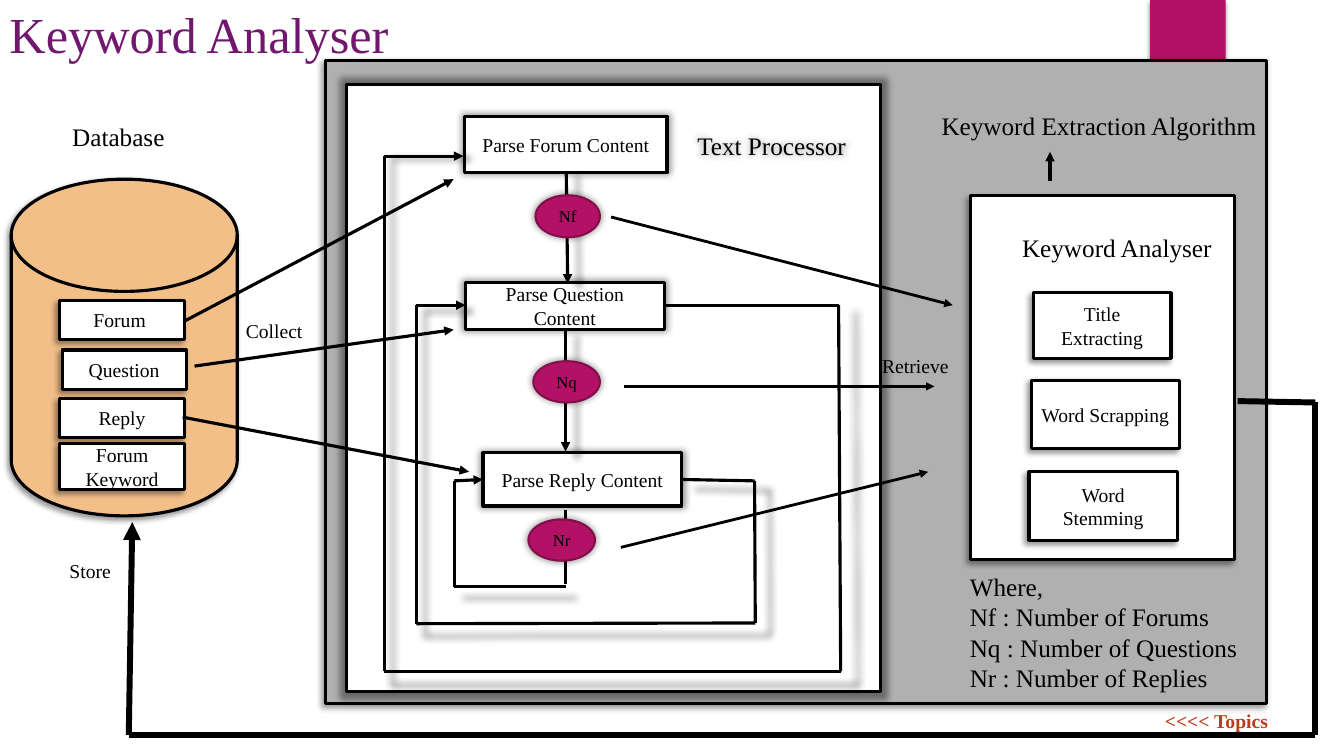
from itertools import pairwise

from lxml.etree import SubElement
from pptx import Presentation
from pptx.dml.color import RGBColor
from pptx.enum.shapes import MSO_CONNECTOR as Connector, MSO_SHAPE as Shape
from pptx.enum.text import MSO_ANCHOR as Anchor, MSO_AUTO_SIZE as AutoSize, PP_ALIGN as Align
from pptx.oxml.ns import qn
from pptx.util import Pt

COLORS = {
    "black": "000000",
    "white": "FFFFFF",
    "gray": "B0B0B0",
    "magenta": "B31166",
    "plum": "840D4B",
    "purple": "71186E",
    "sand": "F2BF89",
    "rust": "BE3C1A",
}
# Opacity in percent, blur and distance in points, direction in degrees, scale in percent
SHADOWS = {
    "glow": (40, 5, 0, 0, 102),
    "drop": (40, 4, 3, 135, 100),
    "under": (45, 3, 2, 90, 100),
}


def color(name):
    return RGBColor.from_string(COLORS[name])


class Diagram:
    """Holds the text style and the slide that is being drawn."""

    font_name = "Times New Roman"

    def __init__(self, slide):
        self.slide = slide
        self.shapes = slide.shapes

    def format_text(self, frame, text, size, ink="black", bold=False, align=Align.LEFT,
                    anchor=Anchor.TOP):
        frame.text = text
        for name, value in {"word_wrap": True, "auto_size": AutoSize.NONE,
                            "vertical_anchor": anchor}.items():
            setattr(frame, name, value)
        font_values = {"name": self.font_name, "size": Pt(size), "bold": bold}
        for paragraph in frame.paragraphs:
            paragraph.alignment = align
            paragraph.space_before = Pt(0)
            for name, value in font_values.items():
                setattr(paragraph.font, name, value)
            paragraph.font.color.rgb = color(ink)

    def cast_shadow(self, shape, kind):
        """Replace the theme shadow by a named one, or by none."""
        properties = shape._element.spPr
        for old in properties.findall(qn("a:effectLst")):
            properties.remove(old)
        effects = SubElement(properties, qn("a:effectLst"))
        if kind:
            opacity, blur, distance, angle, scale = SHADOWS[kind]
            shadow = SubElement(effects, qn("a:outerShdw"), {
                "blurRad": str(Pt(blur)), "dist": str(Pt(distance)),
                "dir": str(angle * 60000), "sx": str(scale * 1000),
                "sy": str(scale * 1000), "algn": "ctr", "rotWithShape": "0"})
            ink = SubElement(shadow, qn("a:srgbClr"), val=COLORS["black"])
            SubElement(ink, qn("a:alpha"), val=str(opacity * 1000))

    def block(self, box, text="", fill="white", line="black", width=2.25, size=14,
              kind=Shape.RECTANGLE, shadow="drop"):
        shape = self.shapes.add_shape(kind, *map(Pt, box))
        shape.fill.solid()
        shape.fill.fore_color.rgb = color(fill)
        if line:
            shape.line.color.rgb = color(line)
            shape.line.width = Pt(width)
        else:
            shape.line.fill.background()
        self.cast_shadow(shape, shadow)
        if text:
            self.format_text(shape.text_frame, text, size, align=Align.CENTER,
                             anchor=Anchor.MIDDLE)

    def counter(self, box, text):
        self.block(box, text, "magenta", "plum", 1.5, 12, Shape.OVAL, "glow")

    def label(self, box, text, size=14, shadow=None, **style):
        text_box = self.shapes.add_textbox(*map(Pt, box))
        self.format_text(text_box.text_frame, text, size, **style)
        if shadow:
            self.cast_shadow(text_box, shadow)

    def route(self, *points, width=2.25, arrow=True, shadow=None):
        """Join the points by straight lines; an arrowhead ends the last one."""
        for start, end in pairwise(points):
            line = self.shapes.add_connector(Connector.STRAIGHT, *map(Pt, start + end))
            line.line.color.rgb = color("black")
            line.line.width = Pt(width)
            if arrow and end == points[-1]:
                SubElement(line.line._get_or_add_ln(), qn("a:tailEnd"), type="triangle")
            self.cast_shadow(line, shadow)

    def place(self, placeholder, box, text, size, ink="black"):
        """Move a placeholder to the front and format it without bullets."""
        for name, value in zip(("left", "top", "width", "height"), box):
            setattr(placeholder, name, Pt(value))
        self.format_text(placeholder.text_frame, text, size, ink)
        for paragraph in placeholder.text_frame.paragraphs:
            properties = paragraph._p.get_or_add_pPr()
            properties.set("marL", "0")
            properties.set("indent", "0")
            bullet = SubElement(properties, qn("a:buNone"))
            properties.find(qn("a:spcBef")).addnext(bullet)
        self.shapes._spTree.append(placeholder._element)


def draw_text_processor(diagram):
    diagram.block((247.5, 60.5, 381.5, 433.5), shadow="glow")
    for box, text in (
        ((332, 83, 144.5, 40.5), "Parse Forum Content"),
        ((332.5, 201.5, 142, 34), "Parse Question Content"),
        ((345, 323.5, 142, 38), "Parse Reply Content"),
    ):
        diagram.block(box, text, shadow="glow")
    diagram.route((600.5, 479.5), (274.5, 479.5), (274.5, 111.5), (331, 111.5), shadow="glow")
    diagram.route((487, 342.5), (539, 343.5), (539.5, 445), (297.5, 445.5), (297.5, 218),
                  (332.5, 218), shadow="glow")
    diagram.route((404, 235.5), (404, 322.5), shadow="glow")
    diagram.route((404.5, 123), (405.5, 202.5), shadow="glow")
    diagram.route((600.5, 479.5), (599, 218), arrow=False, shadow="glow")
    diagram.route((474.5, 218), (599, 218), arrow=False)
    diagram.route((404, 419), (324.5, 419), arrow=False, shadow="glow")
    diagram.route((404, 364.5), (404, 417.5), arrow=False)
    diagram.route((324.5, 419), (324.5, 343.5), (345, 342.5))
    diagram.label((491, 89.5, 126.5, 29), "Text Processor", 18, shadow="glow")
    diagram.counter((382.5, 139.5, 46, 30), "Nf")
    diagram.counter((381, 258, 47.5, 29.5), "Nq")
    diagram.counter((377.5, 371, 47.5, 29.5), "Nr")


def draw_keyword_analyser(diagram):
    diagram.block((693.5, 139.5, 188.5, 260))
    diagram.block((738, 209, 98.5, 47), "Title Extracting")
    diagram.block((736.5, 271.5, 106, 49), "Word Scrapping")
    diagram.block((735, 337, 106, 49), "Word Stemming")
    diagram.label((723, 162.5, 152.5, 29), "Keyword Analyser", 18)
    diagram.label((665.5, 75.5, 268.5, 29), "Keyword Extraction Algorithm", 18)
    diagram.route((750, 129), (750, 108.5))


def draw_database(diagram):
    diagram.block((8, 128, 161.5, 240.5), fill="sand", kind=Shape.FLOWCHART_MAGNETIC_DISK)
    diagram.block((42.5, 214.5, 89.5, 28), "Forum ")
    diagram.block((44.5, 250, 88.5, 28), "Question")
    diagram.block((42.5, 284.5, 89.5, 28), "Reply")
    diagram.block((42.5, 317, 89.5, 33), "Forum Keyword")
    diagram.label((44.5, 83, 106.5, 29), "Database", 18)


def draw_data_flow(diagram):
    for start, end in (
        ((132.5, 229), (324, 128)),
        ((139, 261.5), (324, 235.5)),
        ((130.5, 298), (335, 337)),
    ):
        diagram.route(start, end)
    for start, end in (
        ((436.5, 155), (680.5, 218)),
        ((445.5, 276), (667.5, 276)),
        ((443.5, 391), (663, 337)),
    ):
        diagram.route(start, end, width=2)
    diagram.route((884, 286.5), (939.5, 287.5), (939.5, 525), (92, 525), (94.5, 373), width=4.25)
    diagram.label((168.5, 224.5, 82, 24.5), "Collect")
    diagram.label((623, 249, 82, 24.5), "Retrieve")
    diagram.label((42.5, 396, 142, 24.5), "Store")


def main():
    presentation = Presentation()
    presentation.slide_width, presentation.slide_height = Pt(960), Pt(540)
    slide = presentation.slides.add_slide(presentation.slide_layouts[1])
    diagram = Diagram(slide)
    title, legend = slide.placeholders
    diagram.block((821.5, 0, 54, 90), fill="magenta", line=None, shadow="under")
    diagram.block((232.5, 43, 672.5, 459.5), fill="gray")
    draw_text_processor(diagram)
    draw_keyword_analyser(diagram)
    draw_database(diagram)
    draw_data_flow(diagram)
    diagram.label((825, 502.5, 97, 46), "<<<< Topics", ink="rust", bold=True)
    diagram.place(legend, (685.5, 404.5, 227.5, 94.5),
                  "Where,\nNf : Number of Forums\nNq : Number of Questions\nNr : Number of Replies", 18)
    diagram.place(title, (-0.5, -1.5, 306.5, 51), "Keyword Analyser", 36, "purple")
    presentation.save("out.pptx")


if __name__ == "__main__":
    main()
